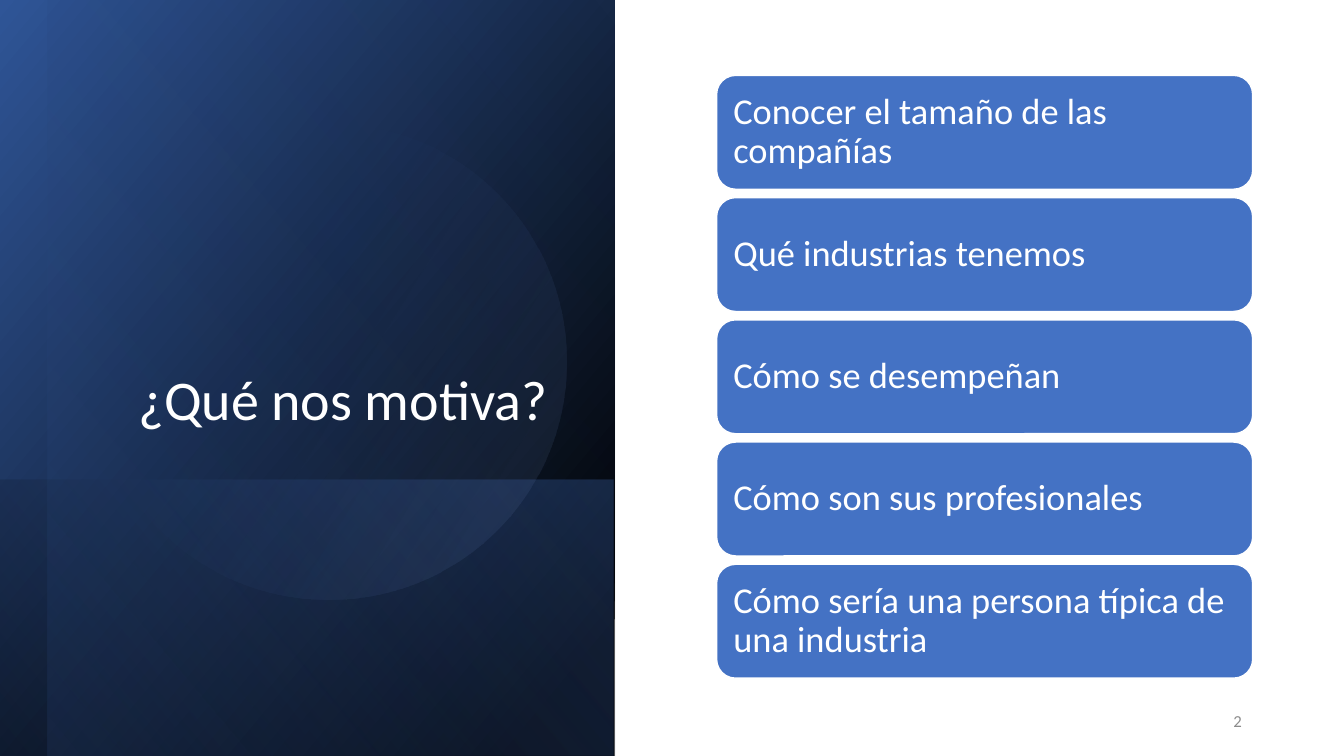
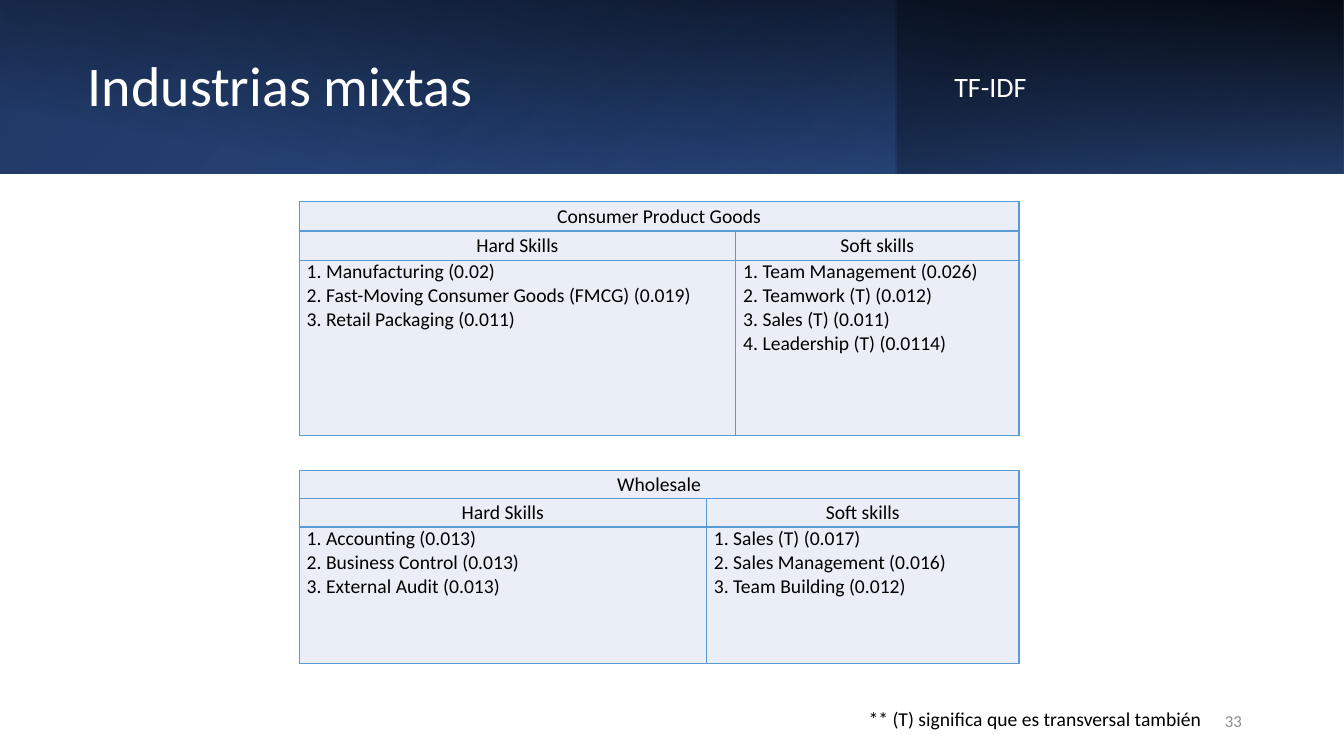
from dataclasses import dataclass
from typing import Optional

from lxml.etree import SubElement
from pptx import Presentation
from pptx.dml.color import RGBColor
from pptx.enum.shapes import MSO_SHAPE as Preset
from pptx.enum.text import MSO_ANCHOR as Anchor, MSO_AUTO_SIZE as AutoSize, PP_ALIGN as Align
from pptx.oxml.ns import qn
from pptx.shapes.autoshape import Shape
from pptx.slide import Slide
from pptx.table import _Cell as Cell
from pptx.text.text import TextFrame
from pptx.util import Cm, Pt

FONT = "Calibri"
WHITE = RGBColor(0xFF, 0xFF, 0xFF)
BLACK = RGBColor(0x00, 0x00, 0x00)
GRAY = RGBColor(0x8C, 0x8C, 0x8C)
BLUE = RGBColor(0x44, 0x72, 0xC4)
PALE_BLUE = RGBColor(0x8F, 0xAA, 0xDC)
DEEP_BLUE = RGBColor(0x2F, 0x55, 0x97)
NAVY = RGBColor(0x20, 0x38, 0x64)
CELL_FILL = RGBColor(0xEA, 0xEF, 0xF7)
CELL_BORDER = RGBColor(0x5B, 0x9B, 0xD5)

SLIDE_WIDTH, SLIDE_HEIGHT = 33.87, 19.05
PANEL_WIDTH = 15.49
BAND_HEIGHT = 4.37
TITLE_ONLY = 5

Box = tuple[float, float, float, float]


@dataclass(frozen=True)
class Stop:
    position: float
    color: RGBColor
    opacity: int = 100


@dataclass(frozen=True)
class Layer:
    """A gradient shape; the angle runs clockwise in degrees."""
    box: Box
    start: Stop
    end: Stop
    angle: int
    rotation: float = 0
    flipped: bool = False
    preset: Preset = Preset.RECTANGLE


@dataclass(frozen=True)
class SkillTable:
    industry: str
    top: float
    columns: tuple[float, float]
    rows: tuple[float, float, float]
    hard: list[str]
    soft: list[str]


PANEL_LAYERS = [
    Layer((-1.78, 1.78, SLIDE_HEIGHT, PANEL_WIDTH),
          Stop(0.08, BLACK), Stop(1, DEEP_BLUE), 50, 90, True),
    Layer((4.24, 7.82, 6.96, PANEL_WIDTH),
          Stop(0.02, BLUE, 29), Stop(1, BLACK, 30), 130, 90, True),
    Layer((-1.17, 2.37, SLIDE_HEIGHT, 14.3),
          Stop(0, BLACK, 0), Stop(0.99, BLUE, 11), 130, 90, True),
    Layer((2.29, 3.12, 11.99, 11.99),
          Stop(0.39, BLUE, 0), Stop(1, PALE_BLUE, 15), 290, 101.6, preset=Preset.OVAL),
]
BAND_LAYERS = [
    Layer((0, 0, SLIDE_WIDTH, BAND_HEIGHT),
          Stop(0, NAVY), Stop(1, DEEP_BLUE), 140, flipped=True),
    Layer((22.58, 0, 11.29, BAND_HEIGHT),
          Stop(0.19, NAVY, 68), Stop(1, BLUE, 79), 320, 180, True),
    Layer((14.75, -14.75, BAND_HEIGHT, SLIDE_WIDTH),
          Stop(0.16, BLACK, 0), Stop(0.99, BLACK, 87), 190, 90),
    Layer((10.62, 0, 11.96, BAND_HEIGHT),
          Stop(0, BLUE, 17), Stop(0.74, NAVY, 0), 240),
]

MOTIVES = [
    "Conocer el tamaño de las compañías",
    "Qué industrias tenemos",
    "Cómo se desempeñan",
    "Cómo son sus profesionales",
    "Cómo sería una persona típica de una industria",
]
CARD_LEFT, CARD_TOP, CARD_WIDTH, CARD_HEIGHT, CARD_PITCH = 18.06, 1.9, 13.51, 2.87, 3.08

TABLE_LEFT = 7.54
SKILL_TABLES = [
    SkillTable(
        "Consumer Product Goods", 5.08, (11, 7.14), (0.74, 0.74, 4.42),
        ["Manufacturing (0.02)", "Fast-Moving Consumer Goods (FMCG) (0.019)",
         "Retail Packaging (0.011)"],
        ["Team Management (0.026)", "Teamwork (T) (0.012)", "Sales (T) (0.011)",
         "Leadership (T) (0.0114)"]),
    SkillTable(
        "Wholesale", 11.86, (10.26, 7.88), (0.71, 0.71, 3.43),
        ["Accounting (0.013)", "Business Control (0.013)", "External Audit (0.013)"],
        ["Sales (T) (0.017)", "Sales Management (0.016)", "Team Building (0.012)"]),
]


def write_text(frame: TextFrame, *lines: str, size: float, color: RGBColor,
               align: Align = Align.LEFT, anchor: Optional[Anchor] = None,
               spacing: float = 1, wrap: bool = True) -> None:
    """Fill a text frame, one paragraph per line."""
    frame.text = "\n".join(lines)
    if anchor is not None:
        frame.vertical_anchor = anchor
    frame.word_wrap = wrap
    for paragraph in frame.paragraphs:
        paragraph.alignment = align
        paragraph.line_spacing = spacing
        font = paragraph.font
        for run in paragraph.runs:
            font = run.font
            font.name, font.size, font.bold = FONT, Pt(size), False
            font.color.rgb = color


def add_label(slide: Slide, text: str, box: Box, **text_format) -> None:
    label = slide.shapes.add_textbox(*map(Cm, box))
    write_text(label.text_frame, text, **text_format)


def add_plain_shape(slide: Slide, preset: Preset, box: Box) -> Shape:
    shape = slide.shapes.add_shape(preset, *map(Cm, box))
    shape.shadow.inherit = False
    return shape


def add_layer(slide: Slide, layer: Layer) -> None:
    shape = add_plain_shape(slide, layer.preset, layer.box)
    shape.line.fill.background()
    shape.rotation = layer.rotation
    if layer.flipped:
        shape._element.spPr.find(qn("a:xfrm")).set("flipH", "1")
    shape.fill.gradient()
    shape.fill.gradient_angle = 360 - layer.angle
    stops = (layer.start, layer.end)
    for gradient_stop, stop in zip(shape.fill.gradient_stops, stops):
        gradient_stop.position = stop.position
        gradient_stop.color.rgb = stop.color
    colors = shape._element.spPr.iter(qn("a:srgbClr"))
    for color, stop in zip(list(colors), stops):
        if stop.opacity < 100:
            SubElement(color, qn("a:alpha"), val=str(stop.opacity * 1000))


def add_titled_slide(deck: Presentation, layers: list[Layer], title: str, box: Box,
                     number: int, **title_format) -> Slide:
    slide = deck.slides.add_slide(deck.slide_layouts[TITLE_ONLY])
    for layer in layers:
        add_layer(slide, layer)
    heading = slide.shapes.title
    heading.left, heading.top, heading.width, heading.height = map(Cm, box)
    slide.shapes._spTree.append(heading._element)  # brings the title above the layers
    write_text(heading.text_frame, title, size=40, color=WHITE, spacing=0.9, **title_format)
    heading.text_frame.auto_size = AutoSize.NONE
    add_label(slide, str(number), (23.93, 17.65, 7.62, 1.02), size=12, color=GRAY,
              align=Align.RIGHT, anchor=Anchor.MIDDLE)
    return slide


def add_card(slide: Slide, text: str, top: float) -> None:
    card = add_plain_shape(slide, Preset.ROUNDED_RECTANGLE,
                           (CARD_LEFT, top, CARD_WIDTH, CARD_HEIGHT))
    card.fill.solid()
    card.fill.fore_color.rgb = BLUE
    card.line.color.rgb = WHITE
    card.line.width = Pt(1)
    frame = card.text_frame
    frame.margin_left = frame.margin_right = Cm(0.28)
    frame.margin_top = frame.margin_bottom = Cm(0.28)
    write_text(frame, text, size=26, color=WHITE, anchor=Anchor.MIDDLE, spacing=0.9)


def style_cell(cell: Cell) -> None:
    properties = cell._tc.get_or_add_tcPr()
    for side in ("a:lnL", "a:lnR", "a:lnT", "a:lnB"):
        border = SubElement(properties, qn(side), w=str(Pt(1)))
        fill = SubElement(border, qn("a:solidFill"))
        SubElement(fill, qn("a:srgbClr"), val=str(CELL_BORDER))
    cell.fill.solid()
    cell.fill.fore_color.rgb = CELL_FILL
    cell.margin_left = cell.margin_right = Cm(0.19)
    cell.margin_top = cell.margin_bottom = 0


def add_skill_table(slide: Slide, skills: SkillTable) -> None:
    table = slide.shapes.add_table(
        len(skills.rows), len(skills.columns), Cm(TABLE_LEFT), Cm(skills.top),
        Cm(sum(skills.columns)), Cm(sum(skills.rows))).table
    table.first_row = table.horz_banding = False
    for column, width in zip(table.columns, skills.columns):
        column.width = Cm(width)
    for row, height in zip(table.rows, skills.rows):
        row.height = Cm(height)
    for cell in table.iter_cells():
        style_cell(cell)
    table.cell(0, 0).merge(table.cell(0, 1))

    headings = [(0, 0, skills.industry), (1, 0, "Hard Skills"), (1, 1, "Soft skills")]
    for row, column, heading in headings:
        cell = table.cell(row, column)
        write_text(cell.text_frame, heading, size=14, color=BLACK, align=Align.CENTER)
        cell.vertical_anchor = Anchor.MIDDLE
    rankings = [(skills.hard, Align.JUSTIFY), (skills.soft, Align.LEFT)]
    for column, (names, align) in enumerate(rankings):
        ranked = [f"{rank}. {name}" for rank, name in enumerate(names, 1)]
        write_text(table.cell(2, column).text_frame, *ranked,
                   size=14, color=BLACK, align=align)


def build_motivation(deck: Presentation) -> None:
    slide = add_titled_slide(deck, PANEL_LAYERS, "¿Qué nos motiva?",
                             (2.29, 1.63, 11.76, 9.4), 2,
                             align=Align.RIGHT, anchor=Anchor.BOTTOM)
    for index, motive in enumerate(MOTIVES):
        add_card(slide, motive, CARD_TOP + index * CARD_PITCH)


def build_mixed_industries(deck: Presentation) -> None:
    slide = add_titled_slide(deck, BAND_LAYERS, "Industrias mixtas",
                             (1.96, 0.99, 19.71, 2.49), 33, anchor=Anchor.MIDDLE)
    add_label(slide, "TF-IDF", (23.8, 1.07, 9.14, 2.31), size=20, color=WHITE,
              anchor=Anchor.MIDDLE, spacing=0.9)
    for skills in SKILL_TABLES:
        add_skill_table(slide, skills)
    add_label(slide, "** (T) significa que es transversal también",
              (21.64, 17.7, 8.99, 0.86), size=14, color=BLACK, wrap=False)


def main() -> None:
    deck = Presentation()
    deck.slide_width, deck.slide_height = Cm(SLIDE_WIDTH), Cm(SLIDE_HEIGHT)
    build_motivation(deck)
    build_mixed_industries(deck)
    deck.save("out.pptx")


if __name__ == "__main__":
    main()
